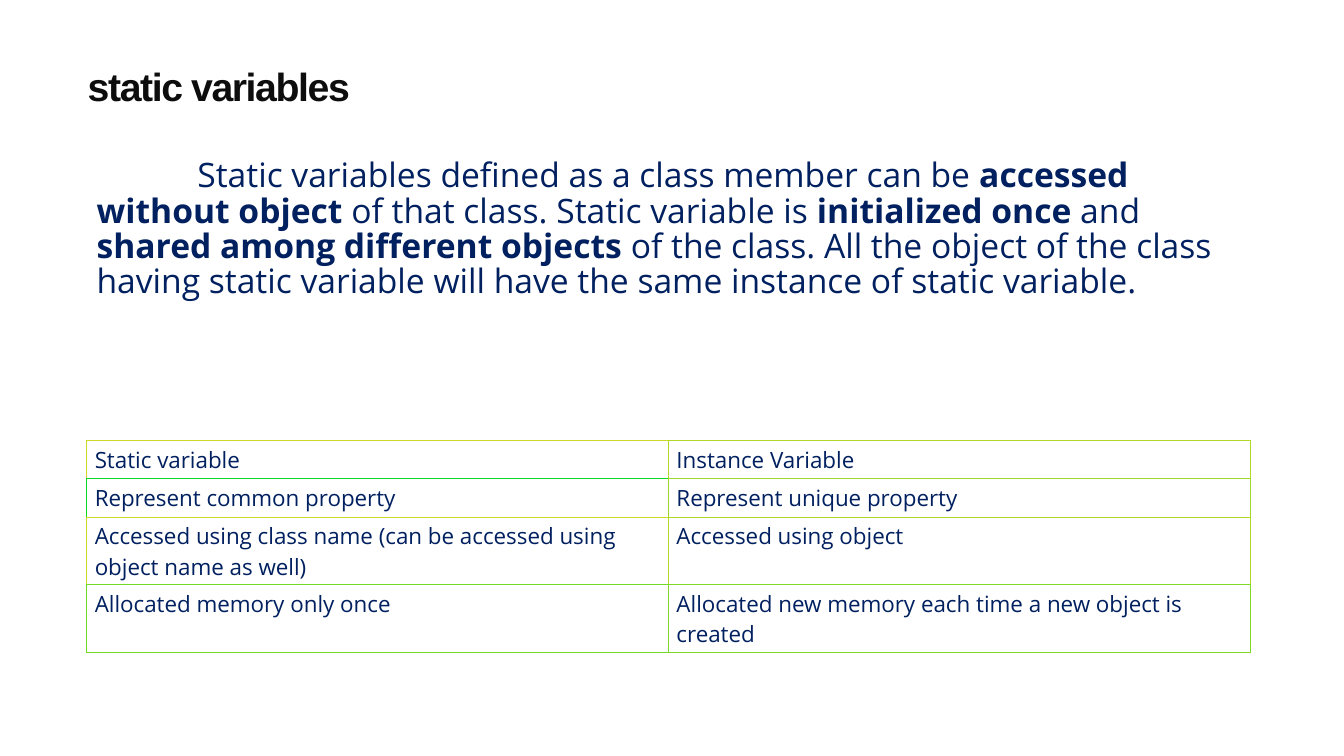
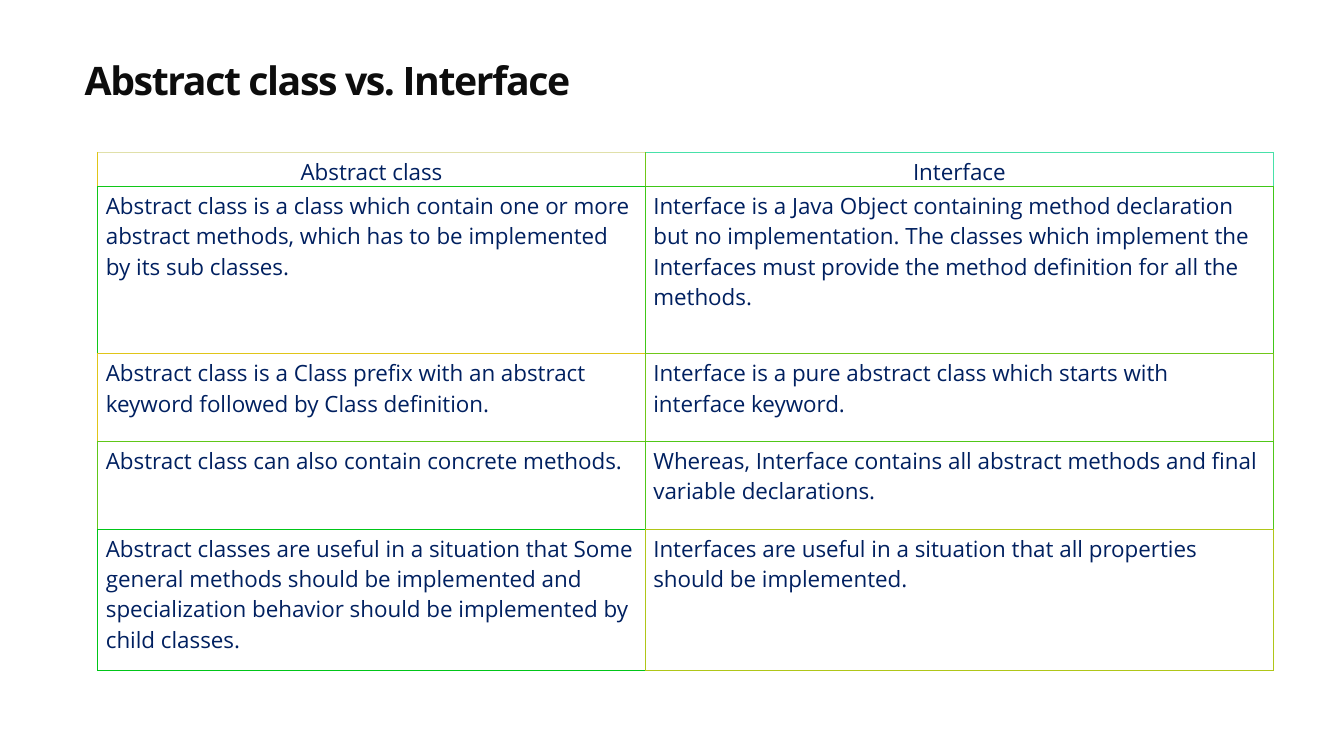
"""Builds two slides on static variables and on abstract classes versus interfaces."""
from dataclasses import dataclass

from lxml.etree import SubElement
from pptx import Presentation
from pptx.dml.color import RGBColor
from pptx.enum.text import MSO_ANCHOR, MSO_AUTO_SIZE, PP_ALIGN
from pptx.oxml.ns import qn
from pptx.util import Pt

PX = 9144


@dataclass(frozen=True)
class Theme:
    title_color: str = "0D0D0D"
    text_color: str = "002060"
    cell_fill: str = "FFFFFF"
    body_font: str = "Open Sans"
    title_size: int = 28
    body_size: int = 24
    cell_size: int = 16
    title_tracking: int = -100
    title_spacing: float = 0.9
    body_spacing: float = 0.88
    border_width: float = 0.75


THEME = Theme()
SLIDE_SIZE = (1333, 750)
TITLE_SIZE = (1102, 48)
CELL_MARGIN_X, CELL_MARGIN_TOP = 8, 4

DEFINITION = {
    "box": (86, 153, 1162, 212),
    "indent": 100,
    "runs": [
        ("Static variables defined as a class member can be ", False),
        ("accessed without object", True),
        (" of that class. Static variable is ", False),
        ("initialized once", True),
        (" and ", False),
        ("shared among different objects", True),
        (" of the class. All the object of the class having static variable "
         "will have the same instance of static variable.", False),
    ],
}

SLIDES = [
    {
        "title": "static variables",
        "title_font": "Arial",
        "title_at": (87, 61),
        "definition": DEFINITION,
        "comparison": {
            "at": (86, 437),
            "columns": [577, 577],
            "heights": [38, 38, 67, 67],
            "header_align": PP_ALIGN.LEFT,
            "margin_bottom": 4,
            "rows": [
                ("Static variable", "Instance Variable"),
                ("Represent common property", "Represent unique property"),
                ("Accessed using class name (can be accessed using object name as well)",
                 "Accessed using object"),
                ("Allocated memory only once",
                 "Allocated new memory each time a new object is created"),
            ],
            "borders": [("D0D827", "B0D827"), ("10D827", "A0D827"),
                        ("D0D827", "B0D827"), ("70D827", "80D827")],
            "header_edges": [{}, {}],
        },
    },
    {
        "title": "Abstract class vs. Interface",
        "title_font": THEME.body_font,
        "title_at": (84, 55),
        "definition": None,
        "comparison": {
            "at": (97, 151),
            "columns": [543, 623],
            "heights": [34, 166, 87, 87, 140],
            "header_align": PP_ALIGN.CENTER,
            "margin_bottom": 0,
            "rows": [
                ("Abstract class", "Interface"),
                ("Abstract class is a class which contain one or more abstract methods, "
                 "which has to be implemented by its sub classes.",
                 "Interface is a Java Object containing method declaration but no "
                 "implementation. The classes which implement the Interfaces must provide "
                 "the method definition for all the methods."),
                ("Abstract class is a Class prefix with an abstract keyword followed by "
                 "Class definition.",
                 "Interface is a pure abstract class which starts with interface keyword."),
                ("Abstract class can also contain concrete methods.",
                 "Whereas, Interface contains all abstract methods and final variable "
                 "declarations."),
                ("Abstract classes are useful in a situation that Some general methods "
                 "should be implemented and specialization behavior should be implemented "
                 "by child classes.",
                 "Interfaces are useful in a situation that all properties should be "
                 "implemented."),
            ],
            "borders": [("E0C518", "70C718"), ("10C718", "40C718"), ("E0C518", "70C718"),
                        ("60C718", "50C718"), ("00C618", "B0C618")],
            "header_edges": [{"T": "E0E0A9"}, {"T": "48E1A9", "R": "48E1A9"}],
        },
    },
]


def px(*lengths):
    return [length * PX for length in lengths]


def style_font(font, name, size, color, bold=False):
    font.name = name
    font.size = Pt(size)
    font.bold = bold
    font.color.rgb = RGBColor.from_string(color)


def add_title(slide, text, font_name, position):
    title = slide.shapes.title
    title.left, title.top, title.width, title.height = px(*position, *TITLE_SIZE)
    frame = title.text_frame
    frame.text = text
    frame.word_wrap = True
    frame.auto_size = MSO_AUTO_SIZE.NONE
    frame.vertical_anchor = MSO_ANCHOR.BOTTOM
    frame.margin_left = frame.margin_right = frame.margin_top = frame.margin_bottom = 0
    heading = frame.paragraphs[0]
    heading.alignment = PP_ALIGN.LEFT
    heading.line_spacing = THEME.title_spacing
    for run in heading.runs:
        style_font(run.font, font_name, THEME.title_size, THEME.title_color, True)
        run.font._element.set("spc", str(THEME.title_tracking))


def add_definition(slide, definition):
    frame = slide.shapes.add_textbox(*px(*definition["box"])).text_frame
    frame.word_wrap = True
    paragraph = frame.paragraphs[0]
    paragraph.line_spacing = THEME.body_spacing
    paragraph._p.get_or_add_pPr().set("indent", str(definition["indent"] * PX))
    for text, bold in definition["runs"]:
        run = paragraph.add_run()
        run.text = text
        style_font(run.font, THEME.body_font, THEME.body_size, THEME.text_color, bold)


def cell_edges(borders, row, column):
    own = borders[row][column]
    right = borders[row][column + 1] if column + 1 < len(borders[row]) else own
    below = borders[row + 1][column] if row + 1 < len(borders) else own
    return {"L": own, "R": right, "T": own, "B": below}


def draw_borders(cell, edges):
    properties = cell._tc.get_or_add_tcPr()
    for side, color in edges.items():
        line = SubElement(properties, qn(f"a:ln{side}"), w=str(Pt(THEME.border_width)))
        SubElement(SubElement(line, qn("a:solidFill")), qn("a:srgbClr"), val=color)


def fill_cell(cell, text, alignment, margin_bottom, edges):
    cell.margin_left = cell.margin_right = CELL_MARGIN_X * PX
    cell.margin_top, cell.margin_bottom = px(CELL_MARGIN_TOP, margin_bottom)
    draw_borders(cell, edges)
    cell.fill.solid()
    cell.fill.fore_color.rgb = RGBColor.from_string(THEME.cell_fill)
    cell.text_frame.text = text
    paragraph = cell.text_frame.paragraphs[0]
    paragraph.alignment = alignment
    for run in paragraph.runs:
        style_font(run.font, THEME.body_font, THEME.cell_size, THEME.text_color)


def add_comparison(slide, comparison):
    rows, columns, heights = (comparison[key] for key in ("rows", "columns", "heights"))
    extent = (sum(columns), sum(heights))
    table = slide.shapes.add_table(
        len(rows), len(columns), *px(*comparison["at"], *extent)).table
    table.first_row = table.horz_banding = False
    for column, width in zip(table.columns, columns):
        column.width = width * PX
    for row, height in zip(table.rows, heights):
        row.height = height * PX
    for r, texts in enumerate(rows):
        alignment = PP_ALIGN.LEFT if r else comparison["header_align"]
        for c, text in enumerate(texts):
            edges = cell_edges(comparison["borders"], r, c)
            if r == 0:
                edges.update(comparison["header_edges"][c])
            fill_cell(table.cell(r, c), text, alignment, comparison["margin_bottom"], edges)


def main():
    deck = Presentation()
    deck.slide_width, deck.slide_height = px(*SLIDE_SIZE)
    title_only = deck.slide_layouts[5]
    for content in SLIDES:
        slide = deck.slides.add_slide(title_only)
        add_title(slide, content["title"], content["title_font"], content["title_at"])
        if content["definition"]:
            add_definition(slide, content["definition"])
        add_comparison(slide, content["comparison"])
    deck.save("out.pptx")


if __name__ == "__main__":
    main()
